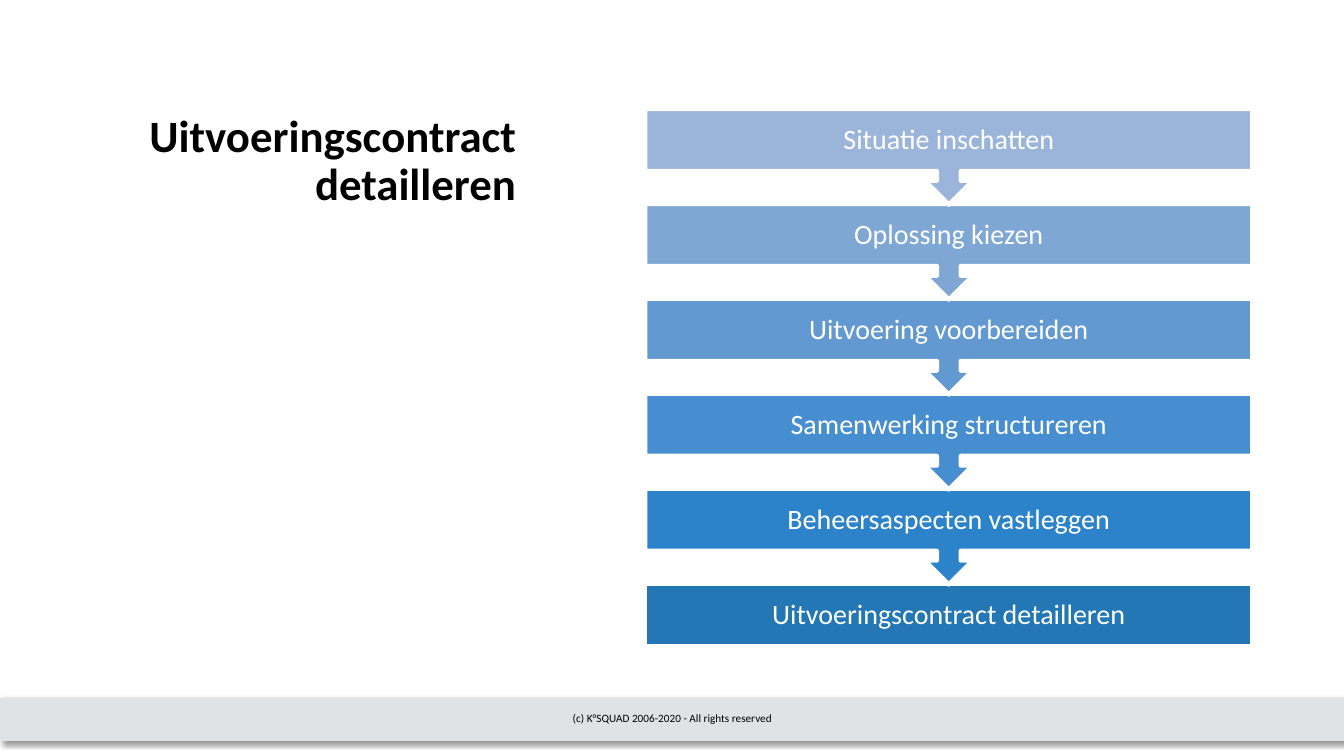
"""Build the contract detailing slide with its six-step flow."""
from dataclasses import dataclass

from lxml import etree
from pptx import Presentation
from pptx import util as u
from pptx.dml.color import RGBColor
from pptx.enum import shapes, text
from pptx.oxml import ns


@dataclass(frozen=True)
class Theme:
    """Hold the colours, font and type sizes."""
    font: str = "Calibri"
    dark: str = "000000"
    light: str = "FFFFFF"
    bar: str = "DFE3E5"
    steps: tuple = ("9AB5D9", "7FA7D4", "6399D1", "468ECF", "2D83C9", "2277B4")
    title: int = 32
    step: int = 20
    note: int = 8
    line: float = 3.15


def write(frame, words, size, color, font, bold=False, align="CENTER",
          anchor="MIDDLE", inset=None, lead=None):
    """Write one formatted paragraph into a text frame."""
    frame.word_wrap = True
    frame.vertical_anchor = getattr(text.MSO_ANCHOR, anchor)
    if inset is not None:
        frame.margin_left = frame.margin_right = u.Inches(inset)
        frame.margin_top = frame.margin_bottom = u.Inches(inset)
    para = frame.paragraphs[0]
    para.alignment = getattr(text.PP_ALIGN, align)
    if lead:
        para.line_spacing = lead
    run = para.add_run()
    run.text = words
    run.font.name = font
    run.font.size = u.Pt(size)
    run.font.bold = bold
    run.font.color.rgb = RGBColor.from_string(color)


class Page:
    """Draw styled elements on the current slide."""

    def __init__(self, slide, theme):
        """Keep the slide and its theme."""
        self.slide = slide
        self.theme = theme

    def label(self, box, words, size, color, **form):
        """Add a text box."""
        item = self.slide.shapes.add_textbox(*map(u.Inches, box))
        write(item.text_frame, words, size, color, self.theme.font, **form)

    def block(self, kind, box, fill, line=None, turn=0):
        """Add a filled shape, with an optional outline."""
        item = self.slide.shapes.add_shape(kind, *map(u.Inches, box))
        item.shadow.inherit = False
        item.rotation = turn
        item.fill.solid()
        item.fill.fore_color.rgb = RGBColor.from_string(fill)
        if line:
            item.line.color.rgb = RGBColor.from_string(line)
            item.line.width = u.Pt(self.theme.line)
        else:
            item.line.fill.background()
        return item

    def shade(self, item):
        """Add a soft shadow to the lower right."""
        effects = item._element.spPr.find(ns.qn("a:effectLst"))
        outer = etree.SubElement(
            effects, ns.qn("a:outerShdw"), blurRad=str(u.Pt(4)),
            dist=str(u.Pt(3)), dir=str(45 * 60000), algn="tl", rotWithShape="0")
        color = etree.SubElement(outer, ns.qn("a:srgbClr"), val=self.theme.dark)
        etree.SubElement(color, ns.qn("a:alpha"), val="40000")

    def flow(self, names, left, top, width, body, tall, pitch):
        """Stack the steps, each pointing down to the next."""
        kinds = shapes.MSO_SHAPE
        last = len(names) - 1
        for i in range(last, -1, -1):
            y = top + i * pitch
            fill, line = self.theme.steps[i], self.theme.light
            box = (left, y, width, body)
            if i == last:
                self.block(kinds.RECTANGLE, box, fill, line)
            else:
                self.block(kinds.UP_ARROW_CALLOUT, (left, y, width, tall),
                           fill, line, turn=180)
            self.label(box, names[i], self.theme.step, self.theme.light,
                       inset=0.16, lead=0.9)


def main():
    """Create and save the slide."""
    deck = Presentation()
    deck.slide_width, deck.slide_height = u.Inches(13.33), u.Inches(7.5)
    theme = Theme()
    page = Page(deck.slides.add_slide(deck.slide_layouts[6]), theme)
    bar = page.block(shapes.MSO_SHAPE.RECTANGLE, (0, 6.92, 13.33, 0.43), theme.bar)
    page.shade(bar)
    page.label((0.92, 1.08, 4.3, 1.17), "Uitvoeringscontract detailleren",
               theme.title, theme.dark, bold=True, align="RIGHT",
               anchor="TOP", lead=0.9)
    names = ("Situatie inschatten", "Oplossing kiezen", "Uitvoering voorbereiden",
             "Samenwerking structureren", "Beheersaspecten vastleggen",
             "Uitvoeringscontract detailleren")
    page.flow(names, left=6.4, top=1.08, width=6.02, body=0.62, tall=0.95,
              pitch=0.942)
    page.label((4.42, 6.92, 4.5, 0.4), "(c) K°SQUAD 2006-2020 - All rights reserved",
               theme.note, theme.dark)
    deck.save("out.pptx")


if __name__ == "__main__":
    main()
